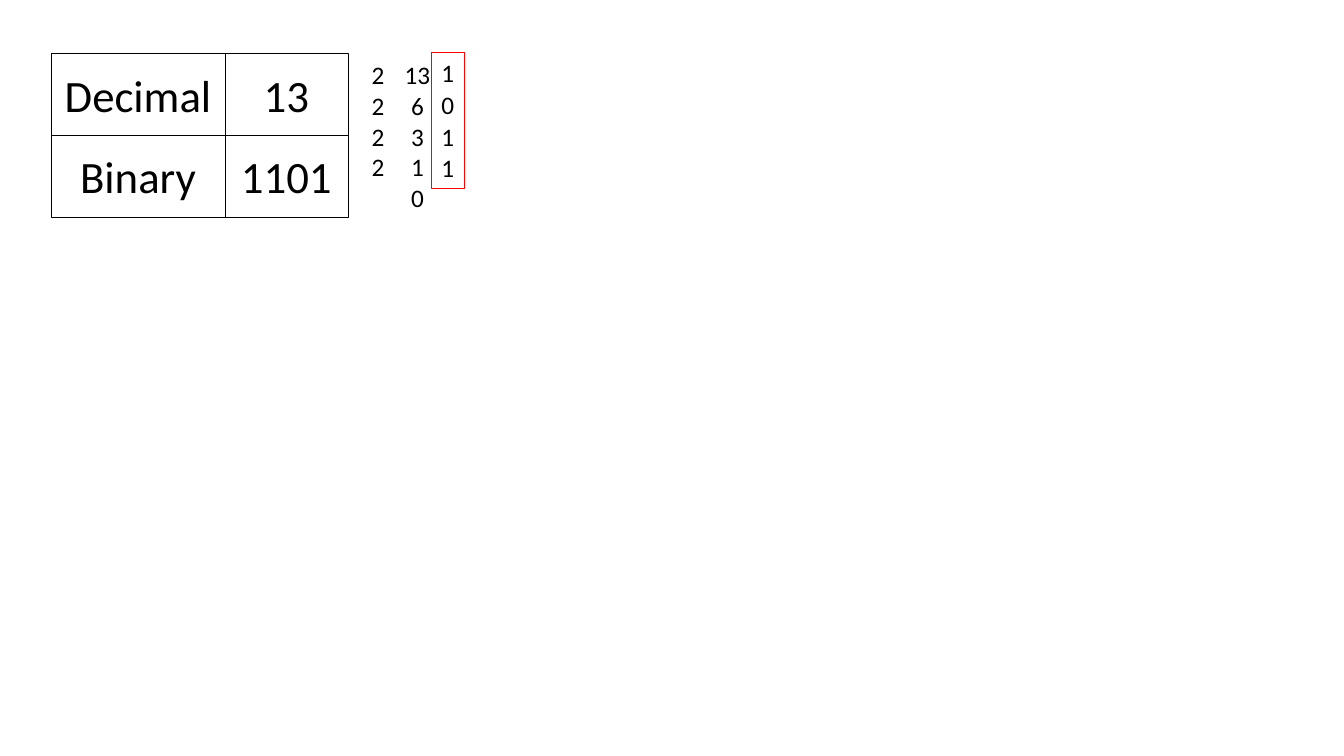
"""Build a slide that converts decimal 13 to binary by repeated division."""
import pptx
import pptx.dml.color
import pptx.enum.shapes
import pptx.enum.text
import pptx.util
from pptx.util import Inches

BLACK = pptx.dml.color.RGBColor(0, 0, 0)
WHITE = pptx.dml.color.RGBColor(255, 255, 255)
RED = pptx.dml.color.RGBColor(255, 0, 0)
FONT = "Calibri"
NUMBER = 13
BASE = 2


def write(shape, text, size):
    """Put one centred line of text in a shape."""
    paragraph = shape.text_frame.paragraphs[0]
    paragraph.text = text
    paragraph.alignment = pptx.enum.text.PP_ALIGN.CENTER
    paragraph.font.name = FONT
    paragraph.font.size = pptx.util.Pt(size)
    paragraph.font.color.rgb = BLACK


def add_box(slide, left, top, width, height, line_color, line_width):
    """Add a white outlined rectangle, measured in inches."""
    box = slide.shapes.add_shape(
        pptx.enum.shapes.MSO_SHAPE.RECTANGLE,
        Inches(left), Inches(top), Inches(width), Inches(height))
    box.shadow.inherit = False
    box.fill.solid()
    box.fill.fore_color.rgb = WHITE
    box.line.color.rgb = line_color
    box.line.width = pptx.util.Pt(line_width)
    return box


def add_digits(slide, center, top, text):
    """Add a small number centred on a column."""
    width = 0.2 + 0.13 * len(text)
    digits = slide.shapes.add_textbox(
        Inches(center - width / 2), Inches(top), Inches(width), Inches(0.4))
    digits.text_frame.word_wrap = False
    digits.text_frame.auto_size = pptx.enum.text.MSO_AUTO_SIZE.SHAPE_TO_FIT_TEXT
    write(digits, text, 18)


def add_summary(slide, left, top, label_width, value_width, row_height):
    """Show the decimal number above its binary form."""
    rows = [("Decimal", str(NUMBER)), ("Binary", f"{NUMBER:b}")]
    for index, (label, value) in enumerate(rows):
        row_top = top + index * row_height
        for text, cell_left, width in (
                (value, left + label_width, value_width),
                (label, left, label_width)):
            cell = add_box(slide, cell_left, row_top, width, row_height, BLACK, 0.25)
            cell.text_frame.vertical_anchor = pptx.enum.text.MSO_ANCHOR.MIDDLE
            write(cell, text, 32)


def add_division(slide, left, top):
    """List divisors, quotients and the framed remainders."""
    divisor_center, quotient_center, remainder_center = left + 0.17, left + 0.56, left + 0.86
    add_box(slide, left + 0.7, top, 0.33, 1.35, RED, 1)
    quotient, step = NUMBER, 0
    while quotient:
        row_top = top + 0.02 + step * 0.305
        add_digits(slide, divisor_center, row_top, str(BASE))
        add_digits(slide, quotient_center, row_top, str(quotient))
        quotient, remainder = divmod(quotient, BASE)
        add_digits(slide, remainder_center, top + step * 0.315, str(remainder))
        step += 1
    add_digits(slide, quotient_center, top + 0.02 + step * 0.305, str(quotient))


def main():
    """Build and save the presentation."""
    presentation = pptx.Presentation()
    presentation.slide_width = Inches(13.33)
    presentation.slide_height = Inches(7.5)
    slide = presentation.slides.add_slide(presentation.slide_layouts[6])
    add_summary(slide, 0.51, 0.53, 1.72, 1.22, 0.81)
    add_division(slide, 3.58, 0.52)
    presentation.save("out.pptx")


if __name__ == "__main__":
    main()
